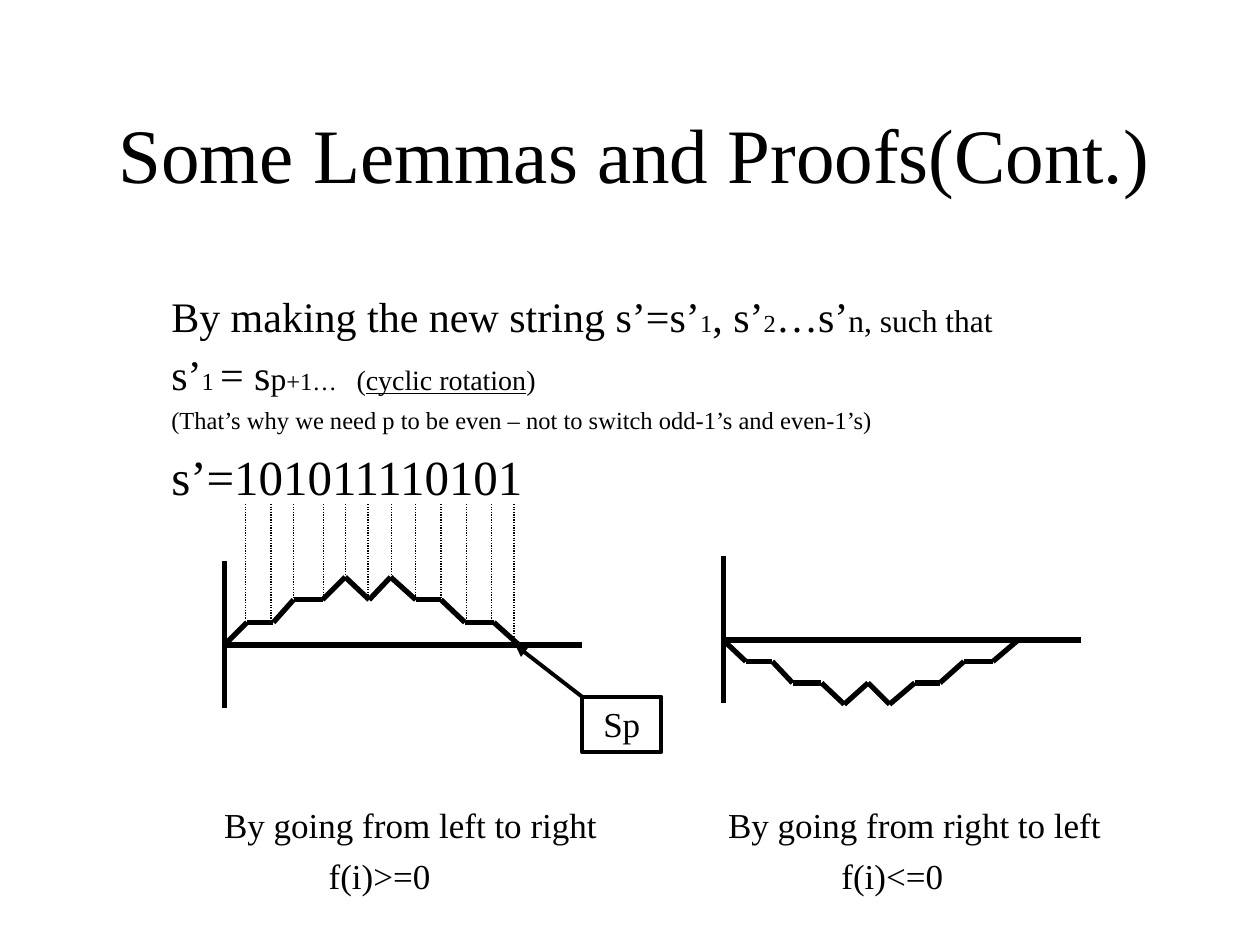
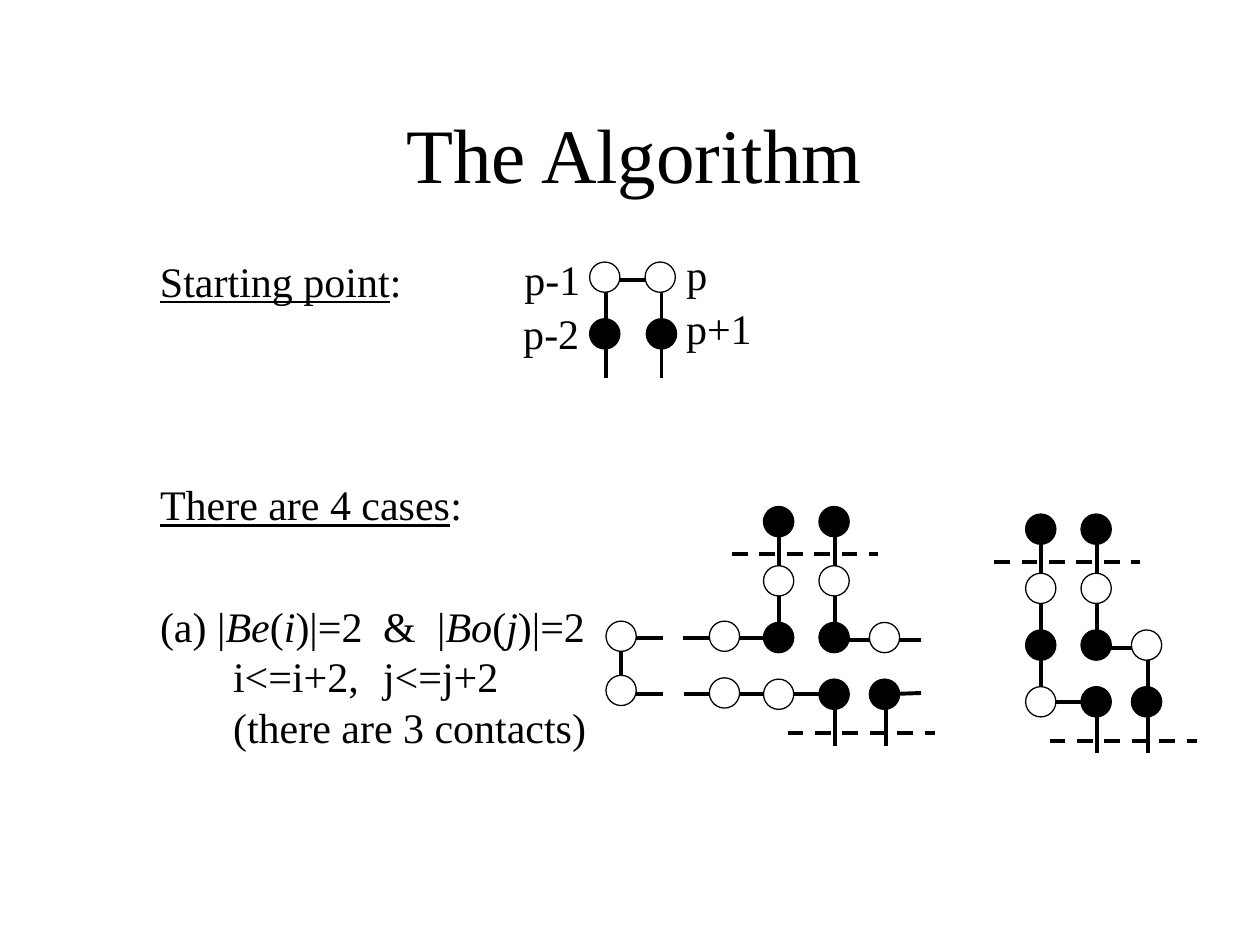
"""Build two lecture slides: the lemma proof with its walk graphs, and the folding algorithm."""
from itertools import pairwise

from lxml.etree import SubElement
from pptx import Presentation
from pptx.dml.color import RGBColor
from pptx.enum.dml import MSO_LINE
from pptx.enum.shapes import MSO_CONNECTOR, MSO_SHAPE
from pptx.enum.text import MSO_ANCHOR, PP_ALIGN
from pptx.oxml.ns import qn
from pptx.util import Inches, Pt

FONT, BLACK, WHITE = "Times New Roman", "000000", "FFFFFF"
TITLE_BOX = (0.35, 0.5, 9.37, 1.42)
INDENT = 0.6
THIN, MEDIUM, THICK = 0.75, 2.25, 3

LEMMA = [
    (0, [], [("By making the new string s’=s’", 24), ("1", 14), (", s’", 24), ("2", 14),
             ("…s’", 24), ("n, such that", 18)]),
    (4, [1.47], [("s’", 24), ("1 ", 14), ("= s", 24), ("p", 18), ("+1…\t", 14),
                 ("(", 16), ("cyclic rotation", 16, "u"), (")", 16)]),
    (3.5, [], [("(That’s why we need p to be even – not to switch odd-1’s and even-1’s)", 14)]),
    (7, [], [("s’=101011110101", 28)]),
]
CAPTIONS = [
    (0, [0.85, 4.85], [("\tBy going from left to right\tBy going from right to left", 20)]),
    (5, [1.68, 5.75], [("\tf(i)>=0\tf(i)<=0", 20)]),
]
START = [(0, [], [("Starting point", 24, "u"), (":", 24)])]
CASES = [
    (0, [], [("There are 4 cases", 24, "u"), (":", 24)]),
    (40.8, [0.58, 1.77, 2.2],
     [("(a) |", 24), ("Be", 24, "i"), ("(", 24), ("i", 24, "i"), (")|=2\t&\t|", 24),
      ("Bo", 24, "i"), ("(", 24), ("j", 24, "i"), (")|=2", 24), ("\n", 24),
      ("\ti<=i+2,\tj<=j+2", 24), ("\n", 24), ("\t(there are 3 contacts)", 24)]),
]

WALK_LEVELS = [0, 1, 1, 2, 2, 3, 2, 3, 2, 2, 1, 1, 0]
WALK_X = [0, 0.18, 0.39, 0.55, 0.78, 0.96, 1.15, 1.32, 1.52, 1.72, 1.91, 2.14, 2.34]
DIGIT_X = [1.95, 2.15, 2.33, 2.57, 2.74, 2.92, 3.11, 3.3, 3.5, 3.7, 3.9, 4.08]
DIGIT_BOTTOM = 4
GRAPHS = [(1.78, 5.12, 0.18), (5.74, 5.08, -0.17)]

DIAMETER = 0.24
START_BEADS = [(4.68, 2.08, WHITE), (5.12, 2.08, WHITE), (4.68, 2.53, BLACK), (5.13, 2.53, BLACK)]
START_BONDS = [(4.88, 2.22, 5.21, 2.22), (4.81, 2.25, 4.81, 3), (5.25, 2.25, 5.25, 3)]
START_LABELS = [("p-1", 4.01, 1.96, 0.75), ("p-2", 4, 2.39, 0.75),
                ("p", 5.35, 1.92, 0.33), ("p+1", 5.33, 2.35, 0.75)]

FOLD_COLUMNS, FOLD_ROWS = [6.06, 6.5, 6.9], [4.02, 4.49, 4.94, 5.39]
FOLD_COLOURS = [[BLACK, BLACK, None], [WHITE, WHITE, None],
                [BLACK, BLACK, WHITE], [WHITE, BLACK, BLACK]]
FOLD_BONDS = [(6.18, 4.14, 6.18, 5.06), (6.63, 4.15, 6.63, 4.99),
              (6.63, 5.58, 6.63, 5.92), (7.03, 5.58, 7.03, 5.92)]
FOLD_CUTS = [(5.81, 4.4, 6.97, 4.4), (6.25, 5.82, 7.42, 5.82)]
FOLD_SHIFTS = [(0, 0), (2.08, 0.06)]
LOOP_BONDS = [(6.64, 5.08, 7.31, 5.08), (7.31, 5.5, 7.03, 5.51), (5.81, 5.51, 6.56, 5.51),
              (5.42, 5.06, 6.08, 5.06), (4.93, 5.11, 4.93, 5.44), (4.93, 5.06, 5.26, 5.06),
              (4.93, 5.51, 5.26, 5.51), (5.43, 5.51, 5.93, 5.51)]
LOOP_BEADS = [(4.81, 4.93, WHITE), (5.63, 4.93, WHITE), (4.81, 5.36, WHITE), (5.63, 5.38, WHITE)]
TIGHT_BONDS = [(8.26, 5.06, 8.26, 5.54), (8.71, 5.14, 9.04, 5.14),
               (9.11, 5.21, 9.11, 5.54), (8.29, 5.57, 8.63, 5.57)]


def rgb(colour):
    return RGBColor.from_string(colour)


def write(tf, paragraphs, align=PP_ALIGN.LEFT):
    for n, (before, tabs, runs) in enumerate(paragraphs):
        p = tf.add_paragraph() if n else tf.paragraphs[0]
        p.alignment = align
        if before:
            p.space_before = Pt(before)
        if tabs:
            stops = SubElement(p._p.get_or_add_pPr(), qn("a:tabLst"))
            for pos in tabs:
                SubElement(stops, qn("a:tab"), pos=str(Inches(pos)), algn="l")
        p.font.name, p.font.color.rgb = FONT, rgb(BLACK)
        for text, size, *style in runs:
            if text == "\n":
                p.add_line_break()
                continue
            r = p.add_run()
            r.text, r.font.size = text, Pt(size)
            if "u" in style:
                r.font.underline = True
            if "i" in style:
                r.font.italic = True


def add_text(s, box, paragraphs, align=PP_ALIGN.LEFT, inset=0.1, wrap=True):
    tf = s.shapes.add_textbox(*map(Inches, box)).text_frame
    tf.word_wrap, tf.margin_left = wrap, Inches(inset)
    write(tf, paragraphs, align)
    return tf


def add_line(s, ends, width, dash=None, arrow=False):
    c = s.shapes.add_connector(MSO_CONNECTOR.STRAIGHT, *map(Inches, ends))
    c.line.color.rgb, c.line.width = rgb(BLACK), Pt(width)
    if dash:
        c.line.dash_style = dash
    if arrow:
        SubElement(c.line._get_or_add_ln(), qn("a:tailEnd"), type="triangle")
    SubElement(c._element.spPr, qn("a:effectLst"))


def add_shape(s, kind, box, fill, width):
    sp = s.shapes.add_shape(kind, *map(Inches, box))
    sp.shadow.inherit = False
    if fill:
        sp.fill.solid()
        sp.fill.fore_color.rgb = rgb(fill)
    else:
        sp.fill.background()
    sp.line.color.rgb, sp.line.width = rgb(BLACK), Pt(width)
    return sp


def add_molecule(s, bonds, beads, cuts=()):
    for bond in bonds:
        add_line(s, bond, MEDIUM)
    for x, y, colour in beads:
        add_shape(s, MSO_SHAPE.OVAL, (x, y, DIAMETER, DIAMETER), colour, THIN)
    for cut in cuts:
        add_line(s, cut, MEDIUM, MSO_LINE.DASH)


def add_graph(s, left, base, step):
    add_line(s, (left, base - 0.67, left, base + 0.5), THICK)
    add_line(s, (left, base, left + 2.84, base), THICK)
    points = [(left + x, base - step * level) for x, level in zip(WALK_X, WALK_LEVELS)]
    for start, end in pairwise(points):
        add_line(s, start + end, THICK)
    return points


def new_slide(prs, title):
    s = prs.slides.add_slide(prs.slide_layouts[6])
    tf = add_text(s, TITLE_BOX, [(0, [], [(title, 44)])], PP_ALIGN.CENTER)
    tf.vertical_anchor = MSO_ANCHOR.MIDDLE
    return s


def build_lemma(prs):
    s = new_slide(prs, "Some Lemmas and Proofs(Cont.)")
    add_text(s, (0.76, 2.26, 8.67, 1.91), LEMMA, inset=INDENT)
    sp = add_shape(s, MSO_SHAPE.RECTANGLE, (4.62, 5.53, 0.63, 0.44), None, MEDIUM)
    sp.text_frame.vertical_anchor = MSO_ANCHOR.TOP
    write(sp.text_frame, [(0, [], [("Sp", 20)])], PP_ALIGN.CENTER)
    add_line(s, (4.62, 5.53, 4.09, 5.12), MEDIUM, arrow=True)
    walk, _ = [add_graph(s, *graph) for graph in GRAPHS]
    for x, (_, y) in zip(DIGIT_X, walk[1:]):
        add_line(s, (x, DIGIT_BOTTOM, x, y - 0.02), THIN, MSO_LINE.ROUND_DOT)
    add_text(s, (0.83, 6.33, 8.67, 0.92), CAPTIONS)


def build_algorithm(prs):
    s = new_slide(prs, "The Algorithm")
    add_text(s, (0.67, 3.75, 8.75, 3.08), CASES, inset=INDENT)
    add_text(s, (0.67, 1.98, 2.67, 0.5), START, inset=INDENT)
    add_molecule(s, START_BONDS, START_BEADS)
    for label, x, y, width in START_LABELS:
        add_text(s, (x, y, width, 0.5), [(0, [], [(label, 24)])], PP_ALIGN.CENTER, wrap=False)
    add_molecule(s, LOOP_BONDS, LOOP_BEADS)
    add_molecule(s, TIGHT_BONDS, [])
    for dx, dy in FOLD_SHIFTS:
        bonds, cuts = ([(x1 + dx, y1 + dy, x2 + dx, y2 + dy) for x1, y1, x2, y2 in lines]
                       for lines in (FOLD_BONDS, FOLD_CUTS))
        beads = [(x + dx, y + dy, colour) for y, row in zip(FOLD_ROWS, FOLD_COLOURS)
                 for x, colour in zip(FOLD_COLUMNS, row) if colour]
        add_molecule(s, bonds, beads, cuts)


def main():
    prs = Presentation()
    prs.slide_width, prs.slide_height = Inches(10), Inches(7.5)
    build_lemma(prs)
    build_algorithm(prs)
    prs.save("out.pptx")


if __name__ == "__main__":
    main()
